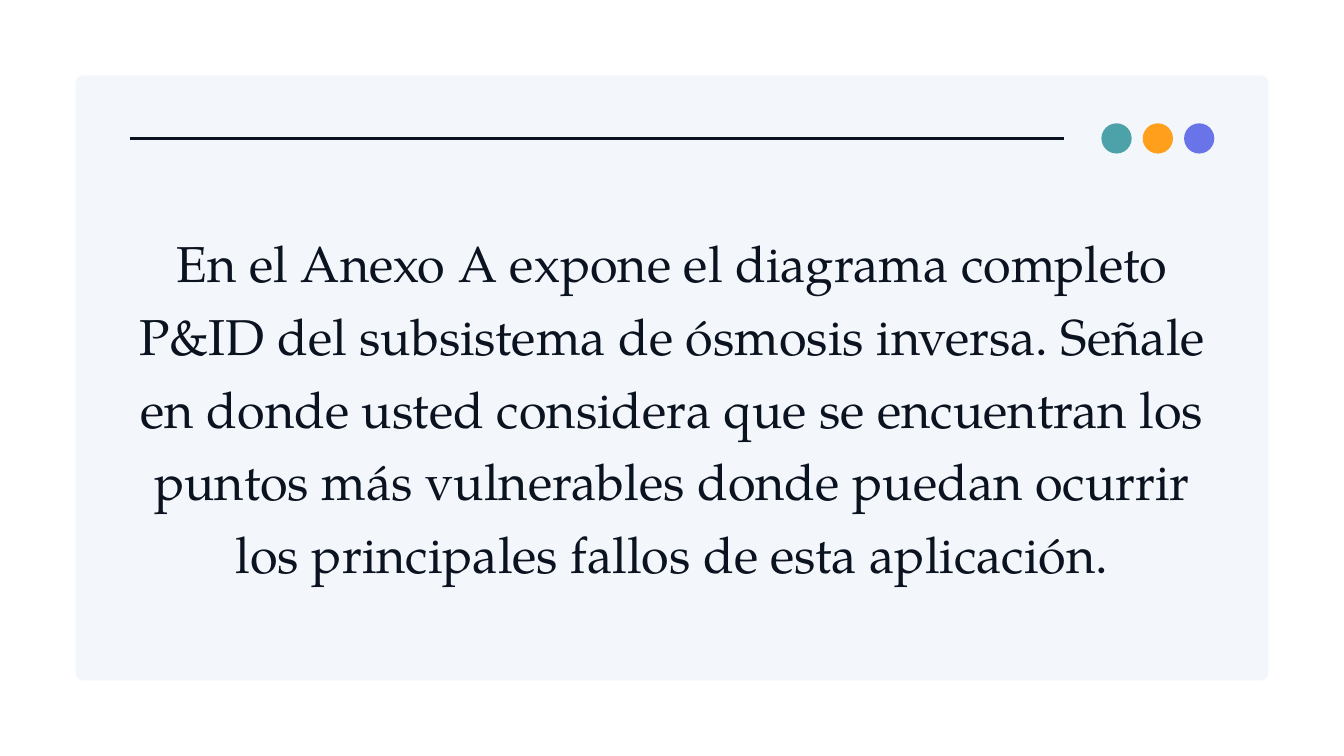
from dataclasses import dataclass

from lxml import etree
from pptx import Presentation
from pptx import util as u
from pptx.dml.color import RGBColor
from pptx.enum import shapes, text
from pptx.oxml.ns import qn

WIDTH, HEIGHT = 20, 11.25
MARGIN = 1.125  # panel inset, a tenth of the slide height
LEFT, RIGHT = 1.93, 18.07  # content edges inside the panel
RULE_Y = 2.06
FONT = "TeX Gyre Pagella"
COLORS = {
    "panel": "F3F6FA",
    "ink": "0B1320",
    "teal": "4DA1A9",
    "orange": "FF9F1C",
    "violet": "6874E8",
}
STATEMENT = (
    "En el Anexo A expone el diagrama completo P&ID del subsistema de ósmosis "
    "inversa. Señale en donde usted considera que se encuentran los puntos más "
    "vulnerables donde puedan ocurrir los principales fallos de esta aplicación."
)


@dataclass
class Area:
    left: float
    top: float
    width: float
    height: float

    def inches(self) -> list:
        return [u.Inches(v) for v in (self.left, self.top, self.width, self.height)]


def color(name: str) -> RGBColor:
    return RGBColor.from_string(COLORS[name])


def add_filled(page, kind, area: Area, fill: str):
    shape = page.shapes.add_shape(kind, *area.inches())
    shape.shadow.inherit = False
    shape.fill.solid()
    shape.fill.fore_color.rgb = color(fill)
    shape.line.fill.background()
    return shape


def add_rule(page, start: float, end: float, y: float) -> None:
    rule = page.shapes.add_connector(
        shapes.MSO_CONNECTOR.STRAIGHT,
        u.Inches(start), u.Inches(y), u.Inches(end), u.Inches(y),
    )
    rule.line.color.rgb = color("ink")
    rule.line.width = u.Pt(3)
    etree.SubElement(rule._element.spPr, qn("a:effectLst"))


def add_statement(page, area: Area, words: str) -> None:
    box = page.shapes.add_textbox(*area.inches())
    frame = box.text_frame
    frame.margin_left = frame.margin_right = 0
    frame.margin_top = frame.margin_bottom = 0
    frame.word_wrap = True
    frame.text = words
    para = frame.paragraphs[0]
    para.alignment = text.PP_ALIGN.CENTER
    para.line_spacing = 1.2
    span = para.runs[0]
    span.font.name = FONT
    span.font.size = u.Pt(54)
    span.font.color.rgb = color("ink")


def main() -> None:
    deck = Presentation()
    deck.slide_width, deck.slide_height = u.Inches(WIDTH), u.Inches(HEIGHT)
    page = deck.slides.add_slide(deck.slide_layouts[6])

    # Panel with slightly rounded corners
    panel_area = Area(MARGIN, MARGIN, WIDTH - 2 * MARGIN, HEIGHT - 2 * MARGIN)
    panel = add_filled(
        page, shapes.MSO_SHAPE.ROUNDED_RECTANGLE, panel_area, "panel"
    )
    panel.adjustments[0] = 0.1 / panel_area.height

    # Statement
    add_statement(page, Area(LEFT, 3.28, RIGHT - LEFT, 6.54), STATEMENT)

    # Header rule and three dots, the last one ending at the right edge
    add_rule(page, LEFT, 15.84, RULE_Y)
    dot, pitch = 0.45, 0.615
    dots = ("teal", "orange", "violet")
    for column, fill in enumerate(dots):
        left = RIGHT - dot - (len(dots) - 1 - column) * pitch
        area = Area(left, RULE_Y - dot / 2, dot, dot)
        add_filled(page, shapes.MSO_SHAPE.OVAL, area, fill)

    deck.save("out.pptx")


if __name__ == "__main__":
    main()
